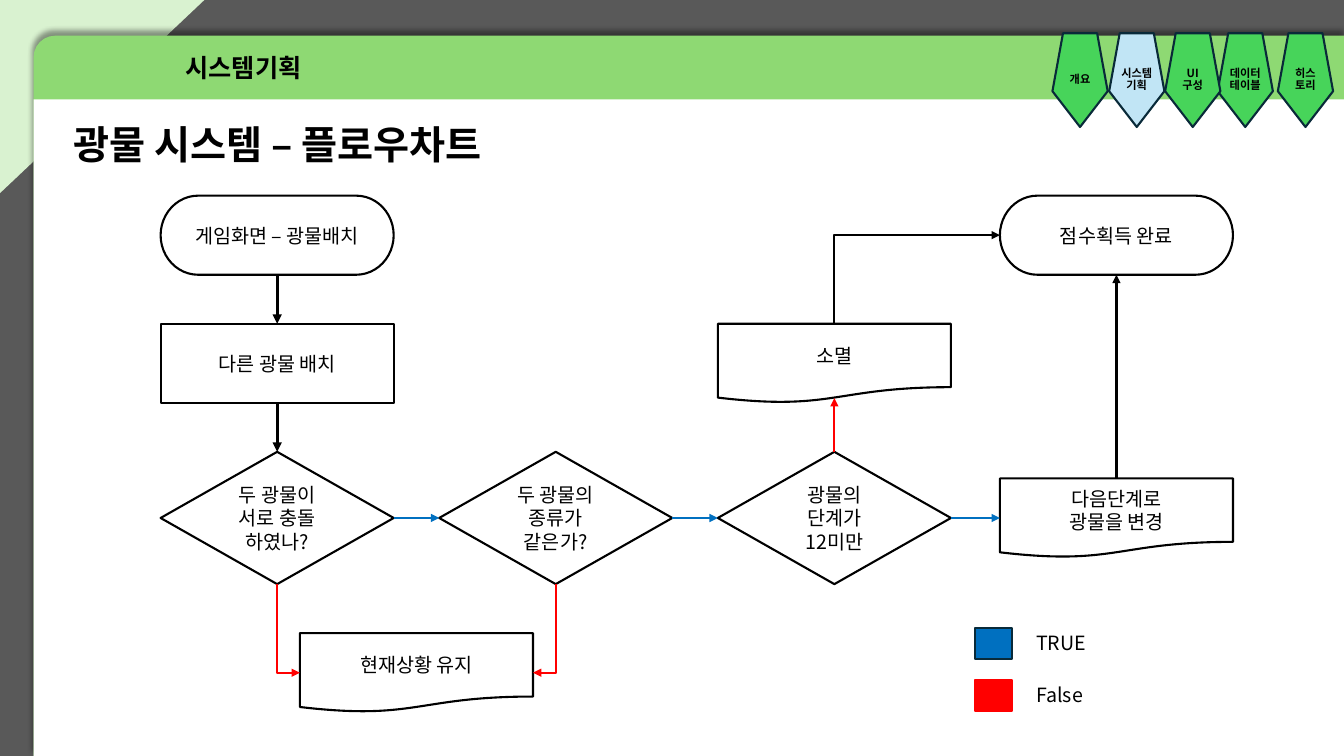
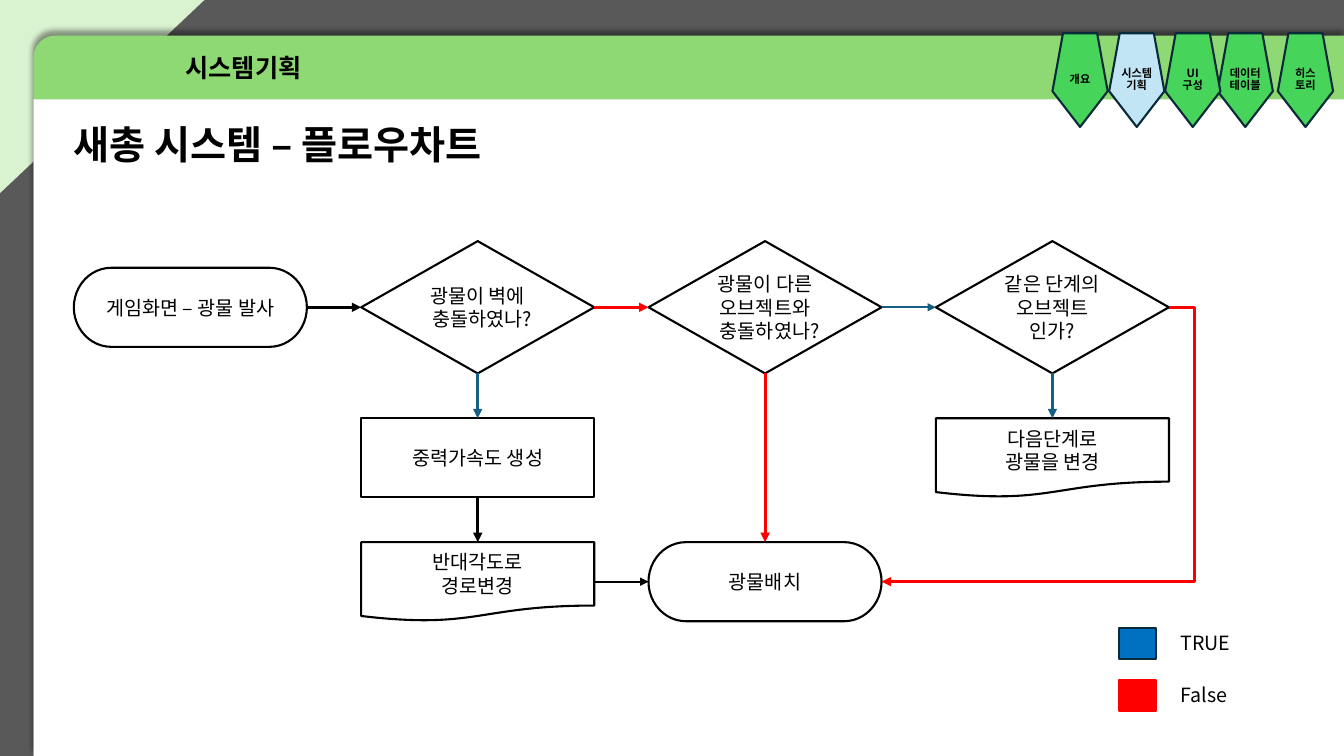
from dataclasses import dataclass
from enum import IntEnum

from lxml import etree
from pptx import Presentation
from pptx import util as u
from pptx.dml.color import RGBColor
from pptx.enum import shapes as es
from pptx.enum import text as et
from pptx.oxml import ns

Pt = u.Pt
Shape = es.MSO_SHAPE
Align = et.PP_ALIGN
Anchor = et.MSO_ANCHOR

FONT = "Noto Sans CJK KR"
BLACK = RGBColor(0x00, 0x00, 0x00)
WHITE = RGBColor(0xFF, 0xFF, 0xFF)
GRAY = RGBColor(0x59, 0x59, 0x59)
PALE_GREEN = RGBColor(0xD9, 0xF2, 0xD0)
BAND_GREEN = RGBColor(0x8E, 0xD9, 0x73)
TAB_GREEN = RGBColor(0x47, 0xD4, 0x5A)
TAB_BLUE = RGBColor(0xC1, 0xE5, 0xF5)
NAVY = RGBColor(0x09, 0x2A, 0x39)
OUTLINE_GREEN = RGBColor(0x92, 0xD0, 0x50)
BLUE = RGBColor(0x00, 0x70, 0xC0)
TEAL = RGBColor(0x15, 0x60, 0x82)
RED = RGBColor(0xFF, 0x00, 0x00)

SLIDE_WIDTH, SLIDE_HEIGHT = 960, 540
PANEL_LEFT, PANEL_TOP, BAND_BOTTOM = 24, 25.5, 71
TAB_TOP, TAB_WIDTH, TAB_HEIGHT = 23.75, 39.5, 67
NODE_WIDTH, NODE_HEIGHT, DECISION_HEIGHT = 166.5, 56.5, 94.5
DOCUMENT_BOTTOM = 0.94  # share of a document's height above the middle of its wave
THIN, THICK = 1.5, 2.25

TERMINATOR = Shape.FLOWCHART_TERMINATOR
PROCESS = Shape.FLOWCHART_PROCESS
DECISION = Shape.FLOWCHART_DECISION
DOCUMENT = Shape.FLOWCHART_DOCUMENT


class Site(IntEnum):
    TOP = 0
    LEFT = 1
    BOTTOM = 2
    RIGHT = 3


@dataclass(frozen=True)
class Tab:
    center: float
    label: str
    label_width: float
    fill: RGBColor = TAB_GREEN


@dataclass(frozen=True)
class Node:
    kind: Shape
    center_x: float
    center_y: float
    label: str


@dataclass(frozen=True)
class Arrow:
    start: str
    start_site: Site
    end: str
    end_site: Site
    color: RGBColor = BLACK
    width: float = THIN
    bends: int = 0
    bend_position: float = 0.5


@dataclass(frozen=True)
class Flowchart:
    title: str
    nodes: dict[str, Node]
    arrows: list[Arrow]
    legend_left: float


SECTION = "시스템기획"
TABS = [
    Tab(771.5, "개요", 34.5),
    Tab(812, "시스템기획", 41.75, TAB_BLUE),
    Tab(852, "UI\v구성", 34.5),
    Tab(889.5, "데이터테이블", 41.75),
    Tab(932.5, "히스토리", 34.5),
]
LEGEND = [("TRUE", BLUE, NAVY), ("False", RED, RED)]

MINERAL_X = [198, 397, 596, 797.5]
MINERAL_Y = [168, 259.5, 370, 480.5]
MINERAL = Flowchart(
    "광물 시스템 – 플로우차트",
    {
        "start": Node(TERMINATOR, MINERAL_X[0], MINERAL_Y[0], "게임화면 – 광물배치"),
        "place": Node(PROCESS, MINERAL_X[0], MINERAL_Y[1], "다른 광물 배치"),
        "collide": Node(DECISION, MINERAL_X[0], MINERAL_Y[2], "두 광물이\n서로 충돌 하였나?"),
        "same": Node(DECISION, MINERAL_X[1], MINERAL_Y[2], "두 광물의\n종류가\n같은가?"),
        "keep": Node(DOCUMENT, sum(MINERAL_X[:2]) / 2, MINERAL_Y[3], "현재상황 유지"),
        "upgrade": Node(DOCUMENT, MINERAL_X[3], MINERAL_Y[2], "다음단계로\n광물을 변경"),
        "vanish": Node(DOCUMENT, MINERAL_X[2], MINERAL_Y[1], "소멸"),
        "score": Node(TERMINATOR, MINERAL_X[3], MINERAL_Y[0], "점수획득 완료"),
        "level": Node(DECISION, MINERAL_X[2], MINERAL_Y[2], "광물의\n단계가\n12미만"),
    },
    [
        Arrow("start", Site.BOTTOM, "place", Site.TOP, width=THICK),
        Arrow("place", Site.BOTTOM, "collide", Site.TOP, width=THICK),
        Arrow("collide", Site.RIGHT, "same", Site.LEFT, BLUE),
        Arrow("same", Site.RIGHT, "level", Site.LEFT, BLUE),
        Arrow("level", Site.RIGHT, "upgrade", Site.LEFT, BLUE),
        Arrow("collide", Site.BOTTOM, "keep", Site.LEFT, RED, bends=1),
        Arrow("same", Site.BOTTOM, "keep", Site.RIGHT, RED, bends=1),
        Arrow("level", Site.TOP, "vanish", Site.BOTTOM, RED),
        Arrow("vanish", Site.TOP, "score", Site.LEFT, bends=1),
        Arrow("upgrade", Site.TOP, "score", Site.BOTTOM),
    ],
    696.25,
)

SLINGSHOT_X = [136 + 205.25 * column for column in range(4)]
SLINGSHOT_Y = [219.5, 327, 415.5]
SLINGSHOT = Flowchart(
    "새총 시스템 – 플로우차트",
    {
        "launch": Node(TERMINATOR, SLINGSHOT_X[0], SLINGSHOT_Y[0], "게임화면 – 광물 발사"),
        "wall": Node(DECISION, SLINGSHOT_X[1], SLINGSHOT_Y[0], "광물이 벽에\n충돌하였나?"),
        "object": Node(DECISION, SLINGSHOT_X[2], SLINGSHOT_Y[0],
                       "광물이 다른\n오브젝트와\n충돌하였나?"),
        "gravity": Node(PROCESS, SLINGSHOT_X[1], SLINGSHOT_Y[1], "중력가속도 생성"),
        "level": Node(DECISION, SLINGSHOT_X[3], SLINGSHOT_Y[0], "같은 단계의\n오브젝트\n인가?"),
        "bounce": Node(DOCUMENT, SLINGSHOT_X[1], SLINGSHOT_Y[2], "반대각도로\n경로변경"),
        "upgrade": Node(DOCUMENT, SLINGSHOT_X[3], SLINGSHOT_Y[1], "다음단계로\n광물을 변경"),
        "place": Node(TERMINATOR, SLINGSHOT_X[2], SLINGSHOT_Y[2], "광물배치"),
    },
    [
        Arrow("launch", Site.RIGHT, "wall", Site.LEFT, width=THICK),
        Arrow("wall", Site.RIGHT, "object", Site.LEFT, RED, THICK),
        Arrow("object", Site.RIGHT, "level", Site.LEFT, TEAL),
        Arrow("wall", Site.BOTTOM, "gravity", Site.TOP, TEAL, THICK),
        Arrow("gravity", Site.BOTTOM, "bounce", Site.TOP, width=THICK),
        Arrow("bounce", Site.RIGHT, "place", Site.LEFT),
        Arrow("object", Site.BOTTOM, "place", Site.TOP, RED, THICK),
        Arrow("level", Site.BOTTOM, "upgrade", Site.TOP, TEAL, THICK),
        Arrow("level", Site.RIGHT, "place", Site.RIGHT, RED, THICK, 2, -0.09),
    ],
    799.25,
)


def add_element(parent, tag: str, **attributes: str):
    return etree.SubElement(parent, ns.qn(tag), attributes)


def add_solid_fill(parent, color: RGBColor):
    """Append a solid fill and return its colour element."""
    return add_element(add_element(parent, "a:solidFill"), "a:srgbClr", val=str(color))


def write_text(frame, content: str, *, size: float, bold: bool = False,
               align: Align = Align.CENTER, anchor: Anchor = Anchor.MIDDLE,
               line_spacing: float = 1.0, outline: RGBColor | None = None) -> None:
    frame.word_wrap = True
    frame.vertical_anchor = anchor
    frame.text = content
    for paragraph in frame.paragraphs:
        paragraph.alignment = align
        paragraph.line_spacing = line_spacing
        for run in paragraph.runs:
            run.font.size = Pt(size)
            run.font.bold = bold
            run.font.color.rgb = BLACK
            run.font.name = FONT
            properties = run._r.get_or_add_rPr()
            add_element(properties, "a:ea", typeface=FONT)
            if outline is not None:
                line = add_element(properties, "a:ln", w=str(Pt(0.75)))
                add_solid_fill(line, outline)
                properties.insert(0, line)


def add_box(slide, kind: Shape, left: float, top: float, width: float, height: float, *,
            fill: RGBColor | None = None, line: RGBColor | None = None, flip: str = ""):
    """Add a preset shape; flip is "flipH" or "flipV"."""
    shape = slide.shapes.add_shape(kind, Pt(left), Pt(top), Pt(width), Pt(height))
    shape.shadow.inherit = False
    if fill is None:
        shape.fill.background()
    else:
        shape.fill.solid()
        shape.fill.fore_color.rgb = fill
    if line is None:
        shape.line.fill.background()
    else:
        shape.line.color.rgb = line
        shape.line.width = Pt(THIN)
    if flip:
        shape.element.spPr.xfrm.set(flip, "1")
    return shape


def add_label(slide, content: str, left: float, top: float, width: float, height: float,
              **text_format):
    label = slide.shapes.add_textbox(Pt(left), Pt(top), Pt(width), Pt(height))
    write_text(label.text_frame, content, **text_format)
    return label


def build_layout(layout, slide) -> None:
    """Draw the shared backdrop on a slide and move it to the layout."""
    for placeholder in list(layout.placeholders)[1:]:
        layout.shapes.element.remove(placeholder.element)
    panel_width, panel_height = SLIDE_WIDTH - PANEL_LEFT, SLIDE_HEIGHT - PANEL_TOP
    panel = add_box(slide, Shape.ROUND_1_RECTANGLE, PANEL_LEFT, PANEL_TOP,
                    panel_width, panel_height, fill=BAND_GREEN, flip="flipH")
    panel.adjustments[0] = 0.03
    shadow = add_element(panel.element.spPr.find(ns.qn("a:effectLst")), "a:outerShdw",
                         blurRad=str(Pt(4)), dist=str(Pt(3)), dir="16200000",
                         algn="b", rotWithShape="0")
    add_element(add_element(shadow, "a:srgbClr", val=str(BLACK)), "a:alpha", val="40000")
    backdrop = [
        add_box(slide, Shape.RECTANGLE, 0, 0, SLIDE_WIDTH, SLIDE_HEIGHT, fill=GRAY),
        add_box(slide, Shape.RIGHT_TRIANGLE, 0, 0, 146, 138, fill=PALE_GREEN, flip="flipV"),
        panel,
        add_box(slide, Shape.RECTANGLE, PANEL_LEFT, BAND_BOTTOM, panel_width,
                SLIDE_HEIGHT - BAND_BOTTOM, fill=WHITE),
    ]
    for tab in reversed(TABS):
        backdrop.append(add_box(slide, Shape.REGULAR_PENTAGON, tab.center - TAB_WIDTH / 2,
                                TAB_TOP, TAB_WIDTH, TAB_HEIGHT,
                                fill=tab.fill, line=NAVY, flip="flipV"))
    for shape in backdrop:
        layout.shapes.element.append(shape.element)


def add_header(slide, title_text: str) -> None:
    title = slide.shapes.title
    title.left, title.top, title.width, title.height = Pt(45.5), Pt(90), Pt(425), Pt(32)
    frame = title.text_frame
    frame.auto_size = et.MSO_AUTO_SIZE.NONE
    frame.margin_top = Pt(0)
    write_text(frame, title_text, size=28, bold=True, align=Align.LEFT, anchor=Anchor.TOP,
               line_spacing=0.9, outline=OUTLINE_GREEN)
    add_label(slide, SECTION, 27.5, 28, 293, 42.5, size=18, bold=True, line_spacing=0.9)
    for tab in TABS:
        add_label(slide, tab.label, tab.center - tab.label_width / 2, 36,
                  tab.label_width, 42.5, size=8, bold=True, line_spacing=0.9)


def add_node(slide, node: Node):
    height = DECISION_HEIGHT if node.kind == DECISION else NODE_HEIGHT
    shape = add_box(slide, node.kind, node.center_x - NODE_WIDTH / 2,
                    node.center_y - height / 2, NODE_WIDTH, height, line=BLACK)
    write_text(shape.text_frame, node.label, size=14)
    return shape


def bend_once(connector) -> None:
    """Make the connector run vertically first, then turn once."""
    rise = connector.end_y - connector.begin_y
    run = connector.end_x - connector.begin_x
    middle_x = (connector.begin_x + connector.end_x) // 2
    middle_y = (connector.begin_y + connector.end_y) // 2
    connector.width, connector.height = abs(rise), abs(run)
    connector.left, connector.top = middle_x - abs(rise) // 2, middle_y - abs(run) // 2
    transform = connector.element.spPr.xfrm
    transform.set("rot", "5400000")
    transform.set("flipH", str(int(rise < 0)))
    transform.set("flipV", str(int(run > 0)))
    connector.element.spPr.find(ns.qn("a:prstGeom")).set("prst", "bentConnector2")


def add_arrow(slide, arrow: Arrow, drawn: dict, nodes: dict[str, Node]) -> None:
    kind = es.MSO_CONNECTOR.ELBOW if arrow.bends else es.MSO_CONNECTOR.STRAIGHT
    connector = slide.shapes.add_connector(kind, 0, 0, 0, 0)
    end = drawn[arrow.end]
    connector.begin_connect(drawn[arrow.start], int(arrow.start_site))
    connector.end_connect(end, int(arrow.end_site))
    if nodes[arrow.end].kind == DOCUMENT and arrow.end_site == Site.BOTTOM:
        connector.end_y = end.top + int(end.height * DOCUMENT_BOTTOM)
    properties = connector.element.spPr
    if arrow.bends == 1:
        bend_once(connector)
    elif arrow.bends == 2:
        guides = properties.find(ns.qn("a:prstGeom")).get_or_add_avLst()
        add_element(guides, "a:gd", name="adj1",
                    fmla=f"val {round(arrow.bend_position * 100000)}")
    connector.line.color.rgb = arrow.color
    connector.line.width = Pt(arrow.width)
    add_element(properties.find(ns.qn("a:ln")), "a:tailEnd", type="triangle")
    add_element(properties, "a:effectLst")


def add_legend(slide, left: float) -> None:
    for row, (name, fill, line) in enumerate(LEGEND):
        top = 448.5 + 37 * row
        add_box(slide, Shape.RECTANGLE, left, top, 26.5, 22.5, fill=fill, line=line)
        label = add_label(slide, name, left + 36.75, top - 1.25, 76.5, 24.25, size=14,
                          align=Align.LEFT, anchor=Anchor.TOP)
        label.text_frame.auto_size = et.MSO_AUTO_SIZE.SHAPE_TO_FIT_TEXT


def main() -> None:
    presentation = Presentation()
    presentation.slide_width, presentation.slide_height = Pt(SLIDE_WIDTH), Pt(SLIDE_HEIGHT)
    layout = presentation.slide_layouts[5]
    for index, chart in enumerate([MINERAL, SLINGSHOT]):
        slide = presentation.slides.add_slide(layout)
        if index == 0:
            build_layout(layout, slide)
        add_header(slide, chart.title)
        drawn = {name: add_node(slide, node) for name, node in chart.nodes.items()}
        for arrow in chart.arrows:
            add_arrow(slide, arrow, drawn, chart.nodes)
        add_legend(slide, chart.legend_left)
    presentation.save("out.pptx")


if __name__ == "__main__":
    main()
